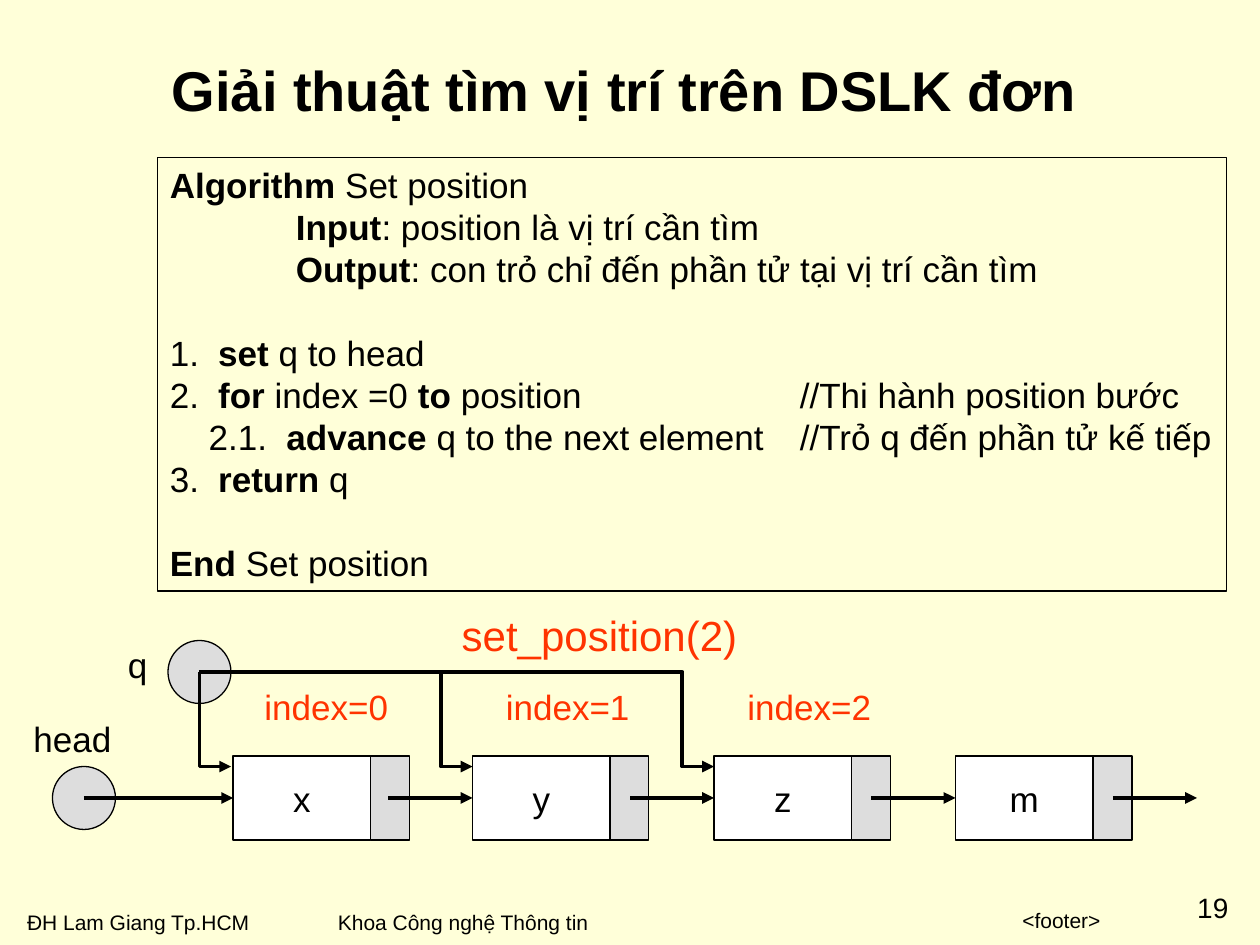
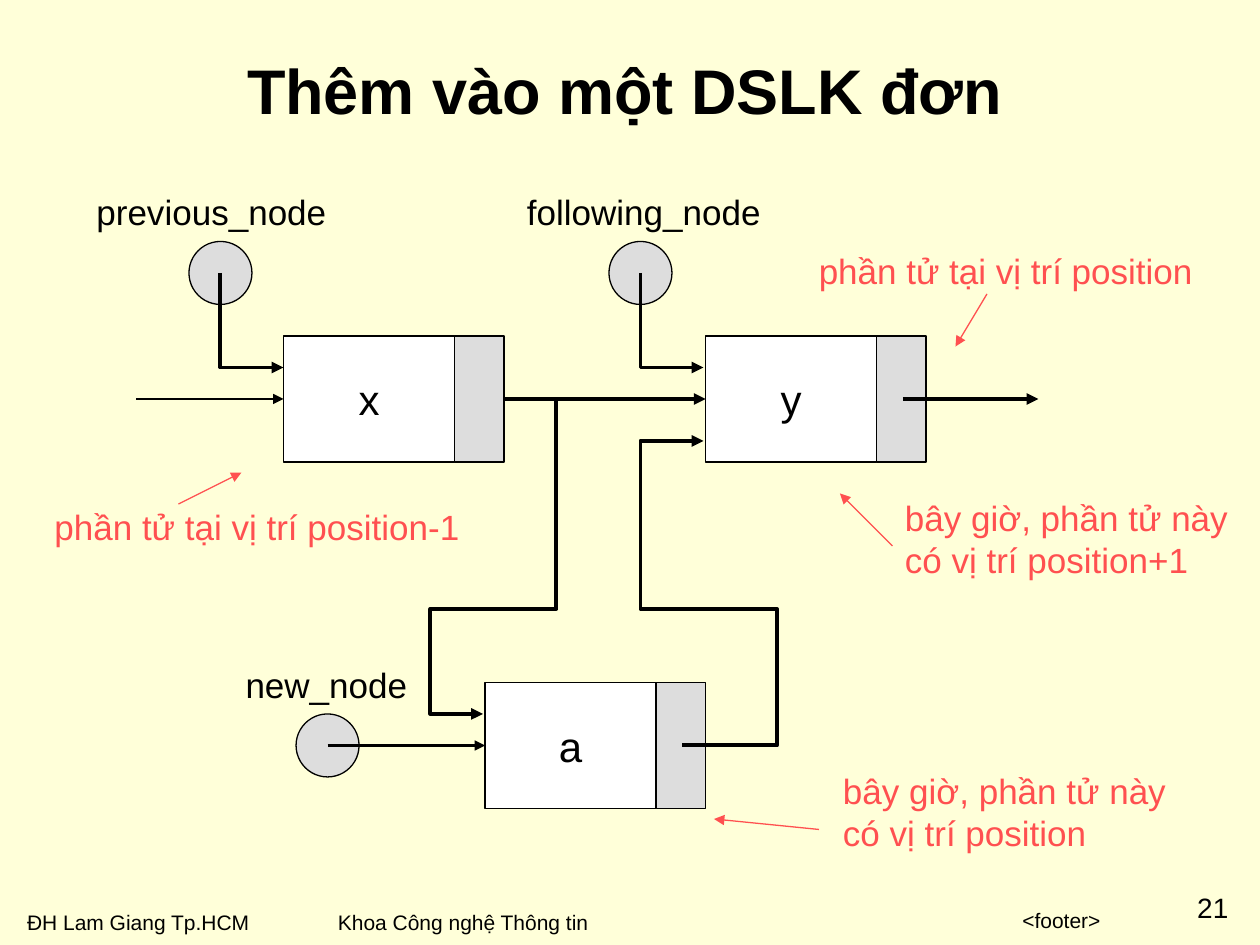
from lxml.etree import SubElement
from pptx import Presentation
from pptx.dml.color import RGBColor
from pptx.enum.shapes import MSO_CONNECTOR, MSO_SHAPE
from pptx.enum.text import MSO_ANCHOR, MSO_AUTO_SIZE, PP_ALIGN
from pptx.oxml.ns import qn
from pptx.util import Pt

PX = 7620
FONT = "Arial"
CREAM = RGBColor(0xFF, 0xFF, 0xD9)
BLACK = RGBColor(0, 0, 0)
WHITE = RGBColor(0xFF, 0xFF, 0xFF)
GRAY = RGBColor(0xDD, 0xDD, 0xDD)
ORANGE = RGBColor(0xFF, 0x33, 0x00)
CORAL = RGBColor(0xFF, 0x50, 0x50)
LEFT_SIDE, RIGHT_SIDE = 1, 3

ALGORITHM = [
    (0, [], [("Algorithm ", True), ("Set position", False)]),
    (0, [120], [("\t", False), ("Input", True),
                (": position là vị trí cần tìm", False)]),
    (0, [120], [("\t", False), ("Output", True),
                (": con trỏ chỉ đến phần tử tại vị trí cần tìm", False)]),
    (24, [46], [("1.\t", False), ("set", True), (" q to head", False)]),
    (0, [46, 600], [("2.\t", False), ("for", True), (" index =0 ", False),
                    ("to ", True),
                    ("position\t//Thi hành position bước", False)]),
    (0, [37, 111, 600], [("\t2.1.\t", False), ("advance", True),
                         (" q to the next element\t//Trỏ q đến phần tử kế tiếp", False)]),
    (0, [46], [("3.\t", False), ("return", True), (" q", False)]),
    (24, [], [("End ", True), ("Set position", False)]),
]


def px(*lengths):
    """Turn px lengths into EMU."""
    return [length * PX for length in lengths]


def write_runs(para, runs, size, color=BLACK, align=PP_ALIGN.LEFT):
    """Fill a paragraph with (text, bold) runs."""
    para.alignment = align
    para.line_spacing = Pt(size * 1.2)
    for text, bold in runs:
        span = para.add_run()
        span.text = text
        span.font.name = FONT
        span.font.size = Pt(size)
        span.font.bold = bold
        span.font.color.rgb = color


def add_tab_stops(para, stops):
    """Give a paragraph left tab stops."""
    tab_list = SubElement(para._p.get_or_add_pPr(), qn("a:tabLst"))
    for stop in stops:
        SubElement(tab_list, qn("a:tab"), pos=str(stop * PX), algn="l")


def add_label(page, text, place, size=20, color=BLACK, align=PP_ALIGN.LEFT, wrap=False):
    """Add a text box with one paragraph per line of text."""
    box = page.shapes.add_textbox(*px(*place))
    frame = box.text_frame
    frame.word_wrap = wrap
    frame.auto_size = MSO_AUTO_SIZE.SHAPE_TO_FIT_TEXT
    for index, line in enumerate(text.split("\n")):
        para = frame.add_paragraph() if index else frame.paragraphs[0]
        write_runs(para, [(line, False)], size, color, align)
    return box


def add_block(page, kind, place, fill=None):
    """Add a thinly outlined preset shape, filled or hollow."""
    block = page.shapes.add_shape(kind, *px(*place))
    block.shadow.inherit = False
    if fill is None:
        block.fill.background()
    else:
        block.fill.solid()
        block.fill.fore_color.rgb = fill
    block.line.color.rgb = BLACK
    block.line.width = Pt(0.75)
    return block


def add_node(page, text, left, top, data_width, link_width, height, size):
    """Add a list node and return its data and link cells."""
    data = add_block(page, MSO_SHAPE.RECTANGLE, (left, top, data_width, height), WHITE)
    frame = data.text_frame
    frame.word_wrap = False
    frame.vertical_anchor = MSO_ANCHOR.MIDDLE
    write_runs(frame.paragraphs[0], [(text, False)], size, align=PP_ALIGN.CENTER)
    link = add_block(page, MSO_SHAPE.RECTANGLE,
                     (left + data_width, top, link_width, height), GRAY)
    return data, link


def add_pointer(page, text, label_place, left, top):
    """Add a pointer circle with its name."""
    add_block(page, MSO_SHAPE.OVAL, (left, top, 60, 60), GRAY)
    add_label(page, text, label_place)


def style_arrow(arrow, color, width):
    """Colour a line, put a triangle at its end and return its properties."""
    arrow.line.color.rgb = color
    arrow.line.width = Pt(width)
    properties = arrow.element.spPr
    SubElement(properties.find(qn("a:ln")), qn("a:tailEnd"), type="triangle")
    return properties


def add_arrow(page, start, end, color=BLACK, width=2.25, source=None, target=None):
    """Add a straight arrow, joined to a source's right or a target's left side."""
    arrow = page.shapes.add_connector(MSO_CONNECTOR.STRAIGHT, *px(*start, *end))
    if source is not None:
        arrow.begin_connect(source, RIGHT_SIDE)
    if target is not None:
        arrow.end_connect(target, LEFT_SIDE)
    SubElement(style_arrow(arrow, color, width), qn("a:effectLst"))


def add_bent_arrow(page, points):
    """Add an open angular arrow through the points."""
    builder = page.shapes.build_freeform(*points[0], scale=PX)
    builder.add_line_segments(points[1:], close=False)
    arrow = builder.convert_to_shape()
    arrow.shadow.inherit = False
    arrow.fill.background()
    style_arrow(arrow, BLACK, 2.25)


def add_page(deck, title, title_size, number):
    """Add a slide with its title and footer."""
    page = deck.slides.add_slide(deck.slide_layouts[5])
    heading = page.shapes.title
    heading.left, heading.top, heading.width, heading.height = px(110, 10, 970, 150)
    frame = heading.text_frame
    frame.auto_size = MSO_AUTO_SIZE.NONE
    frame.vertical_anchor = MSO_ANCHOR.MIDDLE
    write_runs(frame.paragraphs[0], [(title, True)], title_size, align=PP_ALIGN.CENTER)
    add_label(page, "ĐH Lam Giang Tp.HCM", (14, 860, 240, 36), 12)
    add_label(page, "Khoa Công nghệ Thông tin", (310, 860, 263, 36), 12)
    add_label(page, "<footer>", (380, 858, 680, 36), 12, align=PP_ALIGN.RIGHT, wrap=True)
    box = add_label(page, number, (1129, 848, 52, 32), 16, align=PP_ALIGN.CENTER, wrap=True)
    frame = box.text_frame
    frame.margin_left = frame.margin_top = frame.margin_right = frame.margin_bottom = 0
    return page


def add_algorithm(page):
    """Add the framed pseudocode."""
    box = add_block(page, MSO_SHAPE.RECTANGLE, (150, 150, 1018, 413))
    frame = box.text_frame
    frame.word_wrap = False
    frame.vertical_anchor = MSO_ANCHOR.TOP
    for index, (gap, stops, runs) in enumerate(ALGORITHM):
        para = frame.add_paragraph() if index else frame.paragraphs[0]
        write_runs(para, runs, 20)
        para.space_before = Pt(gap)
        if stops:
            add_tab_stops(para, stops)


def build_search_page(deck):
    """Build the slide on finding a position."""
    page = add_page(deck, "Giải thuật tìm vị trí trên DSLK đơn", 32, "19")
    add_algorithm(page)
    add_pointer(page, "q", (110, 607, 42, 53), 160, 610)
    add_pointer(page, "head", (20, 677, 98, 53), 50, 730)
    lefts = [222, 450, 680, 910]
    cells = [add_node(page, text, left, 720, 131, 37, 80, 20)[0]
             for text, left in zip("xyzm", lefts)]
    add_arrow(page, (80, 760), (222, 760), target=cells[0])
    for left, cell in zip(lefts[1:] + [1140], cells[1:] + [None]):
        add_arrow(page, (left - 80, 760), (left, 760), target=cell)
    for index in range(3):
        shift = 230 * index
        corner = 190 + shift
        add_bent_arrow(page, [(190, 640), (corner, 640), (corner, 730), (corner + 30, 730)])
        add_label(page, f"index={index}", (240 + shift, 647, 142, 53), color=ORANGE)
    add_label(page, "set_position(2)", (428, 575, 286, 60), 24, ORANGE)


def build_insert_page(deck):
    """Build the slide on inserting a node."""
    page = add_page(deck, "Thêm vào một DSLK đơn", 36, "21")
    (x_data, x_link), (y_data, _), (a_data, _) = [
        add_node(page, text, left, top, 163, 47, 120, 24)
        for text, left, top in [("x", 270, 320), ("y", 672, 320), ("a", 462, 650)]]
    add_pointer(page, "previous_node", (80, 176, 248, 53), 180, 230)
    add_pointer(page, "following_node", (490, 176, 252, 53), 580, 230)
    add_pointer(page, "new_node", (222, 626, 184, 53), 282, 680)
    add_arrow(page, (130, 380), (270, 380), width=1.5, target=x_data)
    add_arrow(page, (480, 380), (672, 380), source=x_link, target=y_data)
    add_arrow(page, (860, 380), (989, 380))
    add_arrow(page, (312, 710), (462, 710), width=1.5, target=a_data)
    for left in (210, 610):
        add_bent_arrow(page, [(left, 260), (left, 350), (left + 60, 350)])
    add_bent_arrow(page, [(650, 710), (740, 710), (740, 580), (610, 580),
                          (610, 420), (670, 420)])
    add_bent_arrow(page, [(480, 380), (530, 380), (530, 580), (410, 580),
                          (410, 680), (460, 680)])
    notes = [
        ("phần tử tại vị trí position", (768, 232, 386, 53), (940, 280), (910, 330)),
        ("phần tử tại vị trí position-1", (40, 476, 416, 53), (170, 480), (230, 450)),
        ("bây giờ, phần tử này\ncó vị trí position", (791, 727, 341, 92),
         (780, 790), (680, 780)),
        ("bây giờ, phần tử này\ncó vị trí position+1", (850, 467, 338, 92),
         (850, 520), (800, 470)),
    ]
    for text, place, start, end in notes:
        add_label(page, text, place, color=CORAL)
        add_arrow(page, start, end, CORAL, 0.75)


def main():
    """Build and save the deck."""
    deck = Presentation()
    deck.slide_width, deck.slide_height = px(1200, 900)
    background = deck.slide_master.background.fill
    background.solid()
    background.fore_color.rgb = CREAM
    build_search_page(deck)
    build_insert_page(deck)
    deck.save("out.pptx")


if __name__ == "__main__":
    main()
